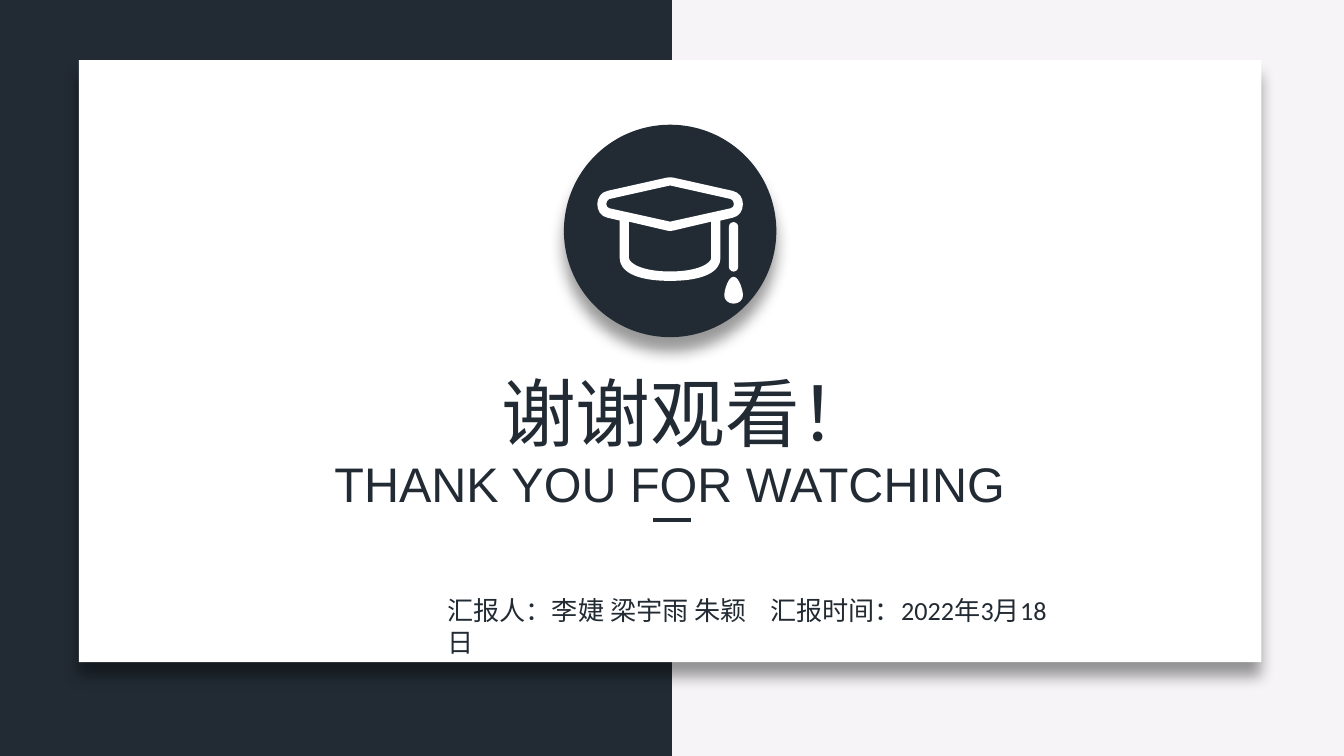
from dataclasses import dataclass

from lxml import etree
from pptx import Presentation
from pptx.dml.color import RGBColor
from pptx.enum import shapes, text
from pptx.oxml import ns
from pptx.util import Pt


@dataclass(frozen=True)
class Theme:
    dark: str = "222B34"
    light: str = "F6F4F7"
    white: str = "FFFFFF"
    shadow: str = "000000"
    title: int = 40
    subtitle: int = 26
    body: int = 14
    font: str = "Calibri"
    subtitle_font: str = "Arial"


T = Theme()
W, H = 720, 405
CX = 359  # centre line of the card and the badge

# Right halves of symmetric contours as (offset from centre, y):
# a single point is a line, three points are a Bezier curve
CAP = [
    [[(0, 95)], [(1.8, 95.2)], [(33.5, 102.3)],
     [(37, 103), (39, 106), (39, 109.4)], [(39, 113), (37, 116), (33.5, 116.7)],
     [(27, 118.2)], [(27, 138.2)], [(27, 144.7), (19.8, 150.5), (0, 150.5)]],
    [[(0, 99.4)], [(32.6, 106.7)],
     [(33.5, 107.2), (34.2, 108), (34.2, 109.4)],
     [(34.2, 110.4), (33.5, 111.4), (32.6, 111.6)], [(0, 118.8)]],
    [[(0, 123.8)], [(1.6, 123.6)], [(22, 118.8)], [(22, 138.2)],
     [(22, 141.1), (14.8, 145.5), (0, 145.5)]],
]
DROP = [
    [[(0, 148.3)], [(2.9, 148.3), (5, 155.5), (5, 158.4)],
     [(5, 160.6), (2.9, 162.7), (0, 162.7)]],
]


def rgb(color):
    return RGBColor.from_string(color)


def paint(sp, color):
    sp.shadow.inherit = False
    sp.fill.solid()
    sp.fill.fore_color.rgb = rgb(color)
    sp.line.fill.background()


def add_shadow(sp):
    effects = sp._element.spPr.find(ns.qn("a:effectLst"))
    shadow = etree.SubElement(
        effects, ns.qn("a:outerShdw"), blurRad=str(Pt(8)), dist=str(Pt(8)),
        dir="5400000", algn="t", rotWithShape="0")
    color = etree.SubElement(shadow, ns.qn("a:srgbClr"), val=T.shadow)
    etree.SubElement(color, ns.qn("a:alpha"), val="40000")


def add_block(parent, kind, box, color, shadow=False):
    sp = parent.add_shape(kind, *map(Pt, box))
    paint(sp, color)
    if shadow:
        add_shadow(sp)
    return sp


def mirror(half):
    """Complete a half contour with its mirrored segments in reverse."""
    back = []
    for before, seg in zip(half, half[1:]):
        points = [*seg[-2::-1], before[-1]]
        back.insert(0, [(-x, y) for x, y in points])
    return half + back


def bend(sp, sizes):
    """Turn each run of three control points into one Bezier curve."""
    lines = iter(list(sp._element.iter(ns.qn("a:lnTo"))))
    for size in sizes:
        group = [next(lines) for _ in range(size)]
        if size == 3:
            group[0].tag = ns.qn("a:cubicBezTo")
            for line in group[1:]:
                group[0].append(line[0])
                line.getparent().remove(line)


def add_symmetric(parent, halves, cx, color):
    contours = [mirror(half) for half in halves]
    builder = None
    for contour in contours:
        start, *rest = [(Pt(cx + x), Pt(y)) for seg in contour for x, y in seg]
        if builder is None:
            builder = parent.build_freeform(*start)
        else:
            builder.move_to(*start)
        builder.add_line_segments(rest)
    sp = builder.convert_to_shape()
    bend(sp, [len(seg) for contour in contours for seg in contour[1:]])
    paint(sp, color)


def add_rule(s, x1, x2, y):
    line = s.shapes.add_connector(shapes.MSO_CONNECTOR.STRAIGHT,
                                  Pt(x1), Pt(y), Pt(x2), Pt(y))
    line.line.color.rgb = rgb(T.dark)
    line.line.width = Pt(2.25)
    etree.SubElement(line._element.spPr, ns.qn("a:effectLst"))


def set_text(sp, words, *, box, size, font=T.font, color=T.dark,
             align=text.PP_ALIGN.LEFT, wrap=True, tab=None):
    sp.left, sp.top, sp.width, sp.height = map(Pt, box)
    tf = sp.text_frame
    tf.word_wrap = wrap
    tf.auto_size = text.MSO_AUTO_SIZE.NONE
    tf.vertical_anchor = text.MSO_ANCHOR.TOP
    p = tf.paragraphs[0]
    p.alignment = align
    if tab:
        tabs = etree.SubElement(p._p.get_or_add_pPr(), ns.qn("a:tabLst"))
        etree.SubElement(tabs, ns.qn("a:tab"), pos=str(Pt(tab)), algn="l")
    r = p.add_run()
    r.text = words
    r.font.name = font
    r.font.size = Pt(size)
    r.font.color.rgb = rgb(color)


def add_text(s, words, **style):
    set_text(s.shapes.add_textbox(0, 0, 0, 0), words, **style)


def add_badge(s):
    badge = s.shapes.add_group_shape().shapes
    kinds = shapes.MSO_SHAPE
    add_block(badge, kinds.OVAL, (CX - 56.9, 66.8, 113.8, 113.8), T.dark, shadow=True)
    add_symmetric(badge, CAP, CX, T.white)
    # Tassel: cord and drop
    cord = add_block(badge, kinds.ROUNDED_RECTANGLE, (390.5, 119, 5, 26.5), T.white)
    cord.adjustments[0] = 0.5
    add_symmetric(badge, DROP, 393, T.white)


def main():
    prs = Presentation()
    prs.slide_width, prs.slide_height = Pt(W), Pt(H)
    s = prs.slides.add_slide(prs.slide_layouts[5])

    # Two-tone background and card
    s.background.fill.solid()
    s.background.fill.fore_color.rgb = rgb(T.light)
    rect = shapes.MSO_SHAPE.RECTANGLE
    add_block(s.shapes, rect, (0, 0, W / 2, H), T.dark)
    add_block(s.shapes, rect, (42.3, 32.2, 633.5, 322.5), T.white, shadow=True)

    # Title, brought in front of the card
    title = s.shapes.title
    s.shapes._spTree.append(title._element)
    set_text(title, "谢谢观看！", box=(261.4, 193, 214.6, 55.4),
             size=T.title, wrap=False)

    add_rule(s, 350, 370, 278.6)
    add_badge(s)

    # Presenters, date and subtitle
    add_text(s, "汇报人：李婕 梁宇雨 朱颖\t汇报时间：2022年3月18日",
             box=(232.5, 315, 349.2, 24.5), size=T.body, tab=173)
    add_text(s, "THANK YOU FOR WATCHING", box=(170.5, 239.8, 377, 39),
             size=T.subtitle, font=T.subtitle_font, align=text.PP_ALIGN.CENTER,
             wrap=False)

    prs.save("out.pptx")


if __name__ == "__main__":
    main()
